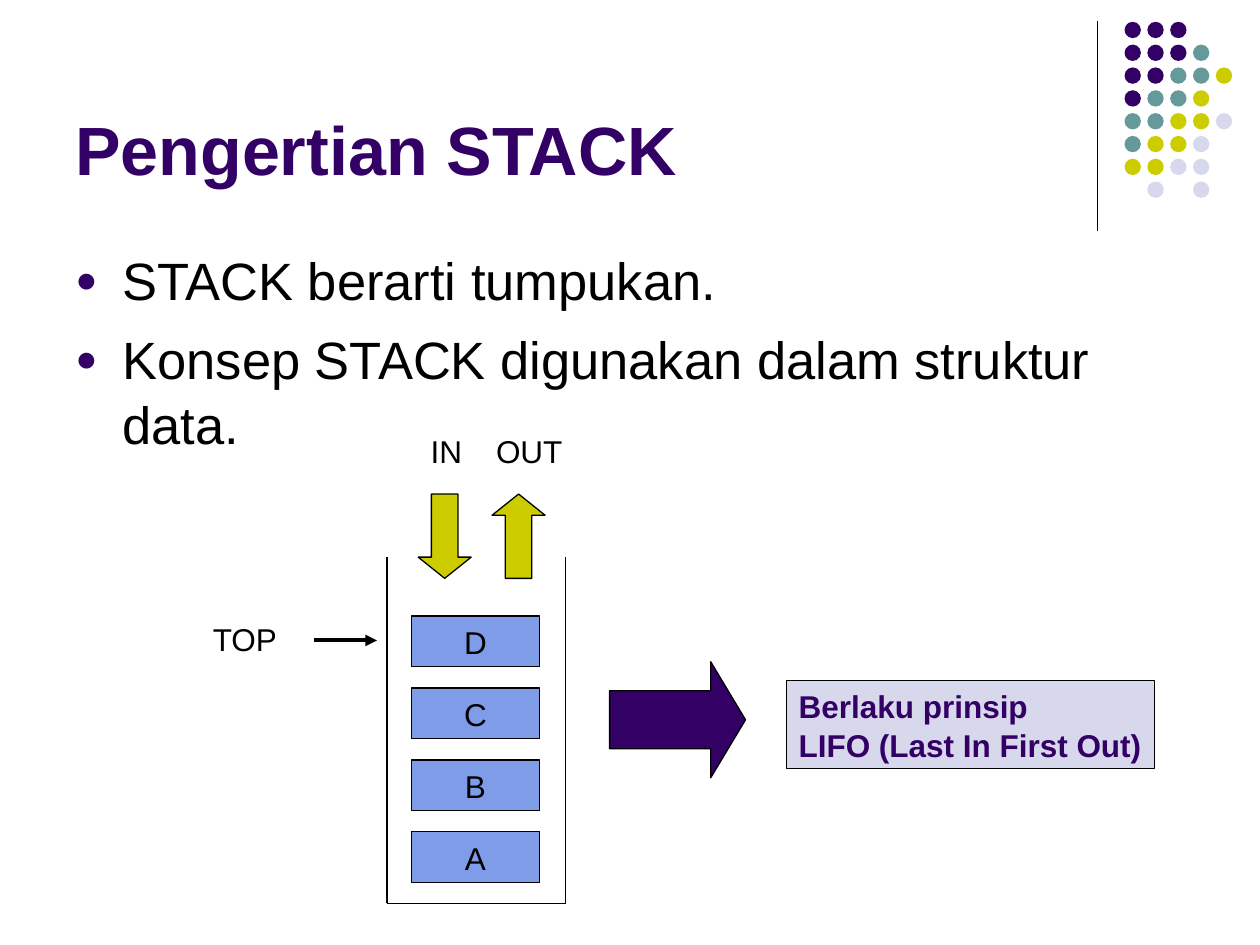
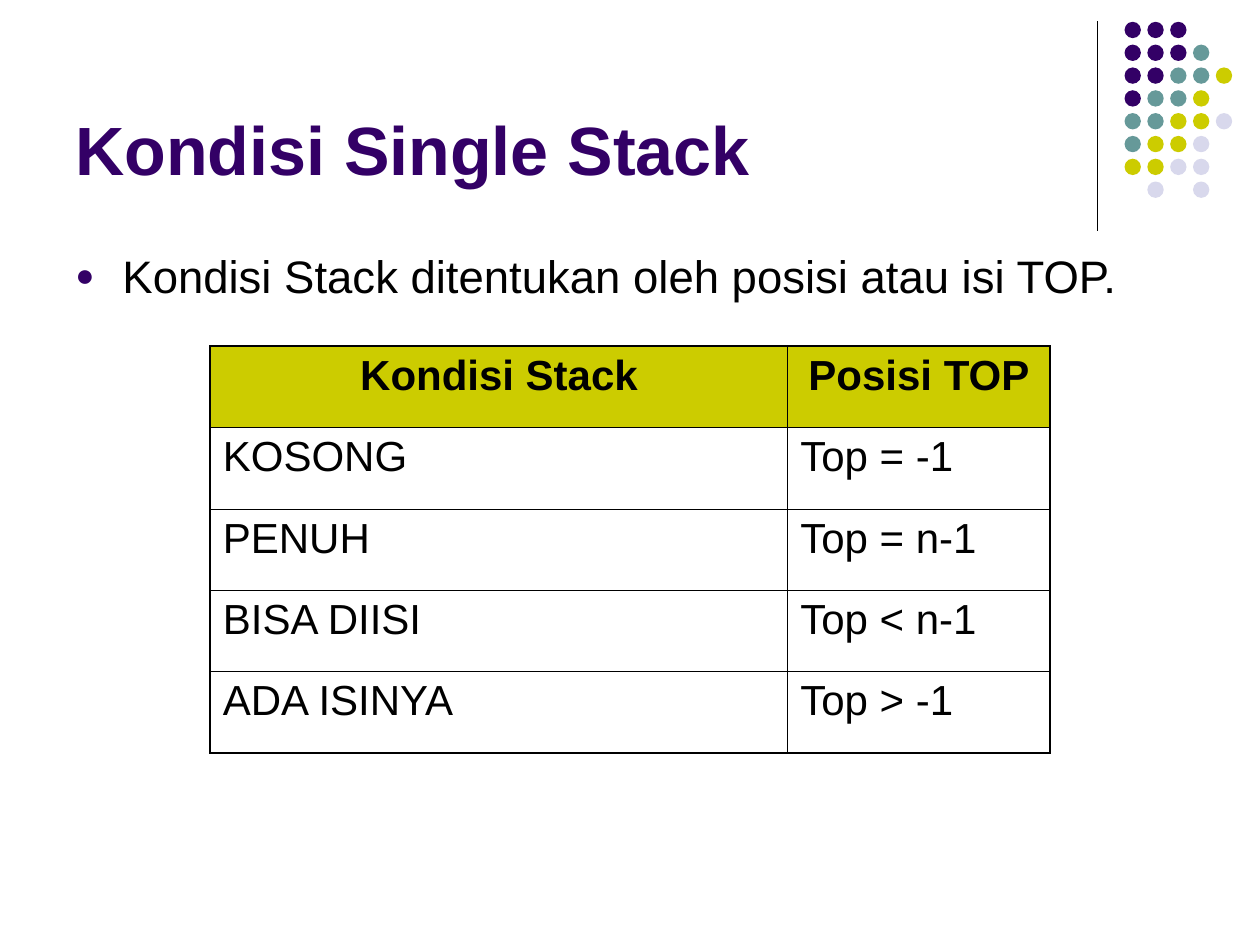
from lxml import etree
from pptx import Presentation
from pptx import util as u
from pptx.dml.color import RGBColor
from pptx.enum import shapes, text
from pptx.oxml.ns import qn

PURPLE, TEAL, OLIVE, LAVENDER = "330066", "669999", "CCCC00", "D8D8EC"
BLUE, BLACK = "7E9CE8", "000000"
FONT = "Arial"
DOT_COLOURS = {"P": PURPLE, "T": TEAL, "Y": OLIVE, "L": LAVENDER}
DOT_ROWS = ["PPP", "PPPT", "PPTTY", "PTTY", "TTYYL", "TYYL", "YYLL", " L L"]
THIN, OUTER, INNER = 0.75, 1.08, 0.45


def colour(hex_code):
    return RGBColor.from_string(hex_code)


def box(*lengths):
    return [u.Cm(length) for length in lengths]


def format_text(frame, size, hex_code=BLACK, bold=False, align=text.PP_ALIGN.LEFT, spacing=None):
    for paragraph in frame.paragraphs:
        paragraph.alignment = align
        paragraph.line_spacing = spacing
        for run in paragraph.runs:
            run.font.name = FONT
            run.font.size = u.Pt(size)
            run.font.bold = bold
            run.font.color.rgb = colour(hex_code)


def add_shape(slide, preset, place, fill, line=BLACK):
    shape = slide.shapes.add_shape(preset, *box(*place))
    shape.shadow.inherit = False
    shape.fill.solid()
    shape.fill.fore_color.rgb = colour(fill)
    if line:
        shape.line.color.rgb = colour(line)
        shape.line.width = u.Pt(THIN)
    else:
        shape.line.fill.background()
    return shape


def add_line(slide, start, end, width=THIN, arrow=False):
    line = slide.shapes.add_connector(shapes.MSO_CONNECTOR.STRAIGHT, *box(*start, *end))
    line.line.color.rgb = colour(BLACK)
    line.line.width = u.Pt(width)
    if arrow:
        etree.SubElement(line.line._get_or_add_ln(), qn("a:tailEnd"), type="triangle")
    etree.SubElement(line._element.spPr, qn("a:effectLst"))


def add_label(slide, words, place):
    label = slide.shapes.add_textbox(*box(*place))
    label.text_frame.text = words
    label.text_frame.word_wrap = False
    format_text(label.text_frame, 18, spacing=1.04)


def add_block_arrow(slide, preset, place, fill, head):
    arrow = add_shape(slide, preset, place, fill)
    arrow.adjustments[0] = 0.5
    arrow.adjustments[1] = head


def add_dots(slide):
    pitch, size = 0.46, 0.33
    for row, pattern in enumerate(DOT_ROWS):
        for column, key in enumerate(pattern):
            if key in DOT_COLOURS:
                place = (22.67 + column * pitch, 0.44 + row * pitch, size, size)
                add_shape(slide, shapes.MSO_SHAPE.OVAL, place, DOT_COLOURS[key], None)


def add_title(slide, words):
    title = slide.shapes.add_textbox(*box(1.27, 0.33, 20.96, 3.61))
    title.text_frame.text = words
    title.text_frame.word_wrap = True
    title.text_frame.vertical_anchor = text.MSO_ANCHOR.BOTTOM
    format_text(title.text_frame, 39, PURPLE, True)


def add_bullet(paragraph):
    properties = paragraph._p.get_or_add_pPr()
    indent = u.Cm(0.95)
    properties.set("marL", str(indent))
    properties.set("indent", str(-indent))
    bullet_colour = etree.SubElement(properties, qn("a:buClr"))
    etree.SubElement(bullet_colour, qn("a:srgbClr"), val=PURPLE)
    etree.SubElement(properties, qn("a:buSzPct"), val="70000")
    etree.SubElement(properties, qn("a:buFont"), typeface=FONT)
    etree.SubElement(properties, qn("a:buChar"), char="●")


def add_points(slide, points, size):
    body = slide.shapes.add_textbox(*box(1.27, 4.83, 22.86, 12.24))
    frame = body.text_frame
    frame.word_wrap = True
    frame.text = "\n".join(points)
    for paragraph in frame.paragraphs:
        add_bullet(paragraph)
    format_text(frame, size, spacing=1.04)
    for paragraph in frame.paragraphs[1:]:
        paragraph.space_before = u.Pt(7.5)


def add_slide(deck, title, points, size):
    slide = deck.slides.add_slide(deck.slide_layouts[6])
    add_line(slide, (22.12, 0.43), (22.12, 4.65))
    add_dots(slide)
    add_title(slide, title)
    add_points(slide, points, size)
    return slide


def add_stack(slide):
    left, right, top, bottom = 7.8, 11.4, 11.23, 18.21
    add_line(slide, (left, top), (left, bottom))
    add_line(slide, (left, bottom), (right, bottom))
    add_line(slide, (right, top), (right, bottom))
    for level, name in enumerate("DCBA"):
        place = (8.29, 12.42 + level * 1.45, 2.59, 1.02)
        item = add_shape(slide, shapes.MSO_SHAPE.RECTANGLE, place, BLUE)
        item.text_frame.text = name
        format_text(item.text_frame, 18, align=text.PP_ALIGN.CENTER, spacing=1.04)
    add_line(slide, (6.32, 12.91), (7.6, 12.91), 2.25, True)
    add_label(slide, "TOP", (4.04, 12.34, 1.8, 1.02))
    add_block_arrow(slide, shapes.MSO_SHAPE.DOWN_ARROW, (8.43, 9.96, 1.07, 1.7), OLIVE, 0.4)
    add_block_arrow(slide, shapes.MSO_SHAPE.UP_ARROW, (9.92, 9.96, 1.07, 1.7), OLIVE, 0.4)
    add_label(slide, "IN", (8.43, 8.56, 1.14, 1.02))
    add_label(slide, "OUT", (9.75, 8.56, 1.85, 1.02))


def add_principle(slide):
    add_block_arrow(slide, shapes.MSO_SHAPE.RIGHT_ARROW, (12.29, 13.34, 2.74, 2.34), PURPLE, 0.3)
    principle = add_shape(slide, shapes.MSO_SHAPE.RECTANGLE, (15.85, 13.72, 7.42, 1.78), LAVENDER)
    principle.text_frame.text = "Berlaku prinsip\nLIFO (Last In First Out)"
    principle.text_frame.word_wrap = False
    format_text(principle.text_frame, 18, PURPLE, True, spacing=1.04)


def set_borders(cell, widths):
    properties = cell._tc.get_or_add_tcPr()
    for position, (side, width) in enumerate(zip("LRTB", widths)):
        border = etree.Element(qn(f"a:ln{side}"), w=str(u.Pt(width)))
        fill = etree.SubElement(border, qn("a:solidFill"))
        etree.SubElement(fill, qn("a:srgbClr"), val=BLACK)
        properties.insert(position, border)


def add_conditions(slide, rows):
    widths, height = (11.64, 5.29), 1.64
    place = box(4.24, 6.98, sum(widths), height * len(rows))
    table = slide.shapes.add_table(len(rows), len(widths), *place).table
    table.first_row = table.horz_banding = False
    for column, width in zip(table.columns, widths):
        column.width = u.Cm(width)
    last_row, last_column = len(rows) - 1, len(widths) - 1
    for r, row in enumerate(rows):
        table.rows[r].height = u.Cm(height)
        for c, words in enumerate(row):
            cell, header = table.cell(r, c), r == 0
            cell.text = words
            align = text.PP_ALIGN.CENTER if header else text.PP_ALIGN.LEFT
            format_text(cell.text_frame, 24, bold=header, align=align)
            if header:
                cell.fill.solid()
                cell.fill.fore_color.rgb = colour(OLIVE)
            else:
                cell.fill.background()
            edges = (c == 0, c == last_column, r == 0, r == last_row)
            set_borders(cell, [OUTER if edge else INNER for edge in edges])


def main():
    deck = Presentation()
    deck.slide_width, deck.slide_height = box(25.4, 19.05)

    meaning = add_slide(deck, "Pengertian STACK", [
        "STACK berarti tumpukan.",
        "Konsep STACK digunakan dalam struktur data.",
    ], 30)
    add_stack(meaning)
    add_principle(meaning)

    conditions = add_slide(deck, "Kondisi Single Stack", [
        "Kondisi Stack ditentukan oleh posisi atau isi TOP.",
    ], 26)
    add_conditions(conditions, [
        ("Kondisi Stack", "Posisi TOP"),
        ("KOSONG", "Top = -1"),
        ("PENUH", "Top = n-1"),
        ("BISA DIISI", "Top < n-1"),
        ("ADA ISINYA", "Top > -1"),
    ])
    deck.save("out.pptx")


if __name__ == "__main__":
    main()
